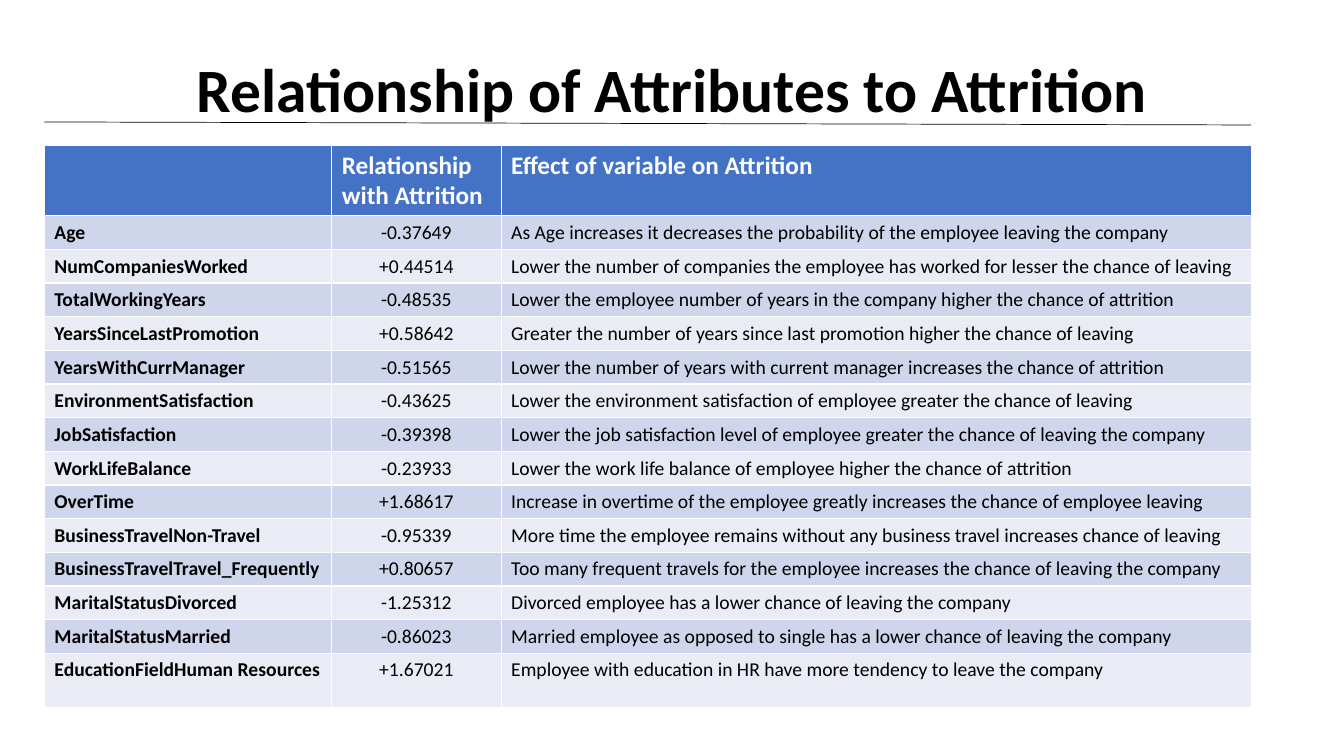
from lxml import etree
from pptx import Presentation, util as u
from pptx.dml.color import RGBColor
from pptx.enum import shapes, text
from pptx.oxml import ns

WIDE, HIGH = 13.33, 7.5
LEFT, SPAN = 0.44, 11.97
BLACK, WHITE, BLUE = "000000", "FFFFFF", "4472C4"
BANDS = ["CFD5EA", "E9EBF5"]
COLS = [2.85, 1.68, 7.44]
HEAD, ROW, LAST = 0.68, 0.32, 0.54

HEADS = ["", "Relationship with Attrition", "Effect of variable on Attrition"]
ROWS = [
    ["Age", "-0.37649", "As Age increases it decreases the probability of the employee leaving the company"],
    ["NumCompaniesWorked", "+0.44514",
     "Lower the number of companies the employee has worked for lesser the chance of leaving"],
    ["TotalWorkingYears", "-0.48535",
     "Lower the employee number of years in the company higher the chance of attrition"],
    ["YearsSinceLastPromotion", "+0.58642",
     "Greater the number of years since last promotion higher the chance of leaving"],
    ["YearsWithCurrManager", "-0.51565",
     "Lower the number of years with current manager increases the chance of attrition"],
    ["EnvironmentSatisfaction", "-0.43625",
     "Lower the environment satisfaction of employee greater the chance of leaving"],
    ["JobSatisfaction", "-0.39398",
     "Lower the job satisfaction level of employee greater the chance of leaving the company"],
    ["WorkLifeBalance", "-0.23933", "Lower the work life balance of employee higher the chance of attrition"],
    ["OverTime", "+1.68617",
     "Increase in overtime of the employee greatly increases the chance of employee leaving"],
    ["BusinessTravelNon-Travel", "-0.95339",
     "More time the employee remains without any business travel increases chance of leaving"],
    ["BusinessTravelTravel_Frequently", "+0.80657",
     "Too many frequent travels for the employee increases the chance of leaving the company"],
    ["MaritalStatusDivorced", "-1.25312", "Divorced employee has a lower chance of leaving the company"],
    ["MaritalStatusMarried", "-0.86023",
     "Married employee as opposed to single has a lower chance of leaving the company"],
    ["EducationFieldHuman Resources", "+1.67021",
     "Employee with education in HR have more tendency to leave the company"],
]


def paint(fmt, tone):
    """Colour a fill, or the fill of a line or font."""
    fmt.solid()
    fmt.fore_color.rgb = RGBColor.from_string(tone)


def write(para, words, size, tone, bold, align):
    """Put one styled run in a paragraph."""
    para.alignment = align
    run = para.add_run()
    run.text = words
    for key, val in dict(name="Calibri", size=u.Pt(size), bold=bold).items():
        setattr(run.font, key, val)
    paint(run.font.fill, tone)


def title(slide, box):
    """Heading, lifted above the middle of its box."""
    frame = slide.shapes.add_textbox(*map(u.Inches, box)).text_frame
    look = dict(word_wrap=True, vertical_anchor=text.MSO_ANCHOR.MIDDLE, margin_bottom=u.Inches(0.46))
    for key, val in look.items():
        setattr(frame, key, val)
    para = frame.paragraphs[0]
    para.line_spacing = 0.9
    write(para, "Relationship of Attributes to Attrition", 44, BLACK, True, text.PP_ALIGN.CENTER)


def rule(slide, box):
    """Thin line from the top left to the bottom right of its box."""
    x, y, w, h = box
    ends = map(u.Inches, (x, y, x + w, y + h))
    line = slide.shapes.add_connector(shapes.MSO_CONNECTOR.STRAIGHT, *ends)
    line.line.width = u.Pt(0.5)
    paint(line.line.fill, BLACK)
    etree.SubElement(line._element.spPr, ns.qn("a:effectLst"))


def grid(slide, box):
    """Table of attributes; the default style draws its white borders."""
    table = slide.shapes.add_table(len(ROWS) + 1, len(COLS), *map(u.Inches, box)).table
    for col, wide in zip(table.columns, COLS):
        col.width = u.Inches(wide)
    highs = [HEAD] + [ROW] * (len(ROWS) - 1) + [LAST]
    for r, (high, words) in enumerate(zip(highs, [HEADS] + ROWS)):
        table.rows[r].height = u.Inches(high)
        for c, word in enumerate(words):
            cell = table.cell(r, c)
            paint(cell.fill, BANDS[(r - 1) % 2] if r else BLUE)
            if not word:
                continue
            align = text.PP_ALIGN.CENTER if r and c == 1 else text.PP_ALIGN.LEFT
            size, tone = (14, BLACK) if r else (18, WHITE)
            write(cell.text_frame.paragraphs[0], word, size, tone, r == 0 or c == 0, align)


def main():
    deck = Presentation()
    deck.slide_width, deck.slide_height = u.Inches(WIDE), u.Inches(HIGH)
    slide = deck.slides.add_slide(deck.slide_layouts[6])
    title(slide, (0.92, 0.4, 11.5, 1.45))
    grid(slide, (LEFT, 1.44, SPAN, 5.58))
    rule(slide, (LEFT, 1.21, SPAN, 0.03))
    deck.save("out.pptx")


if __name__ == "__main__":
    main()
